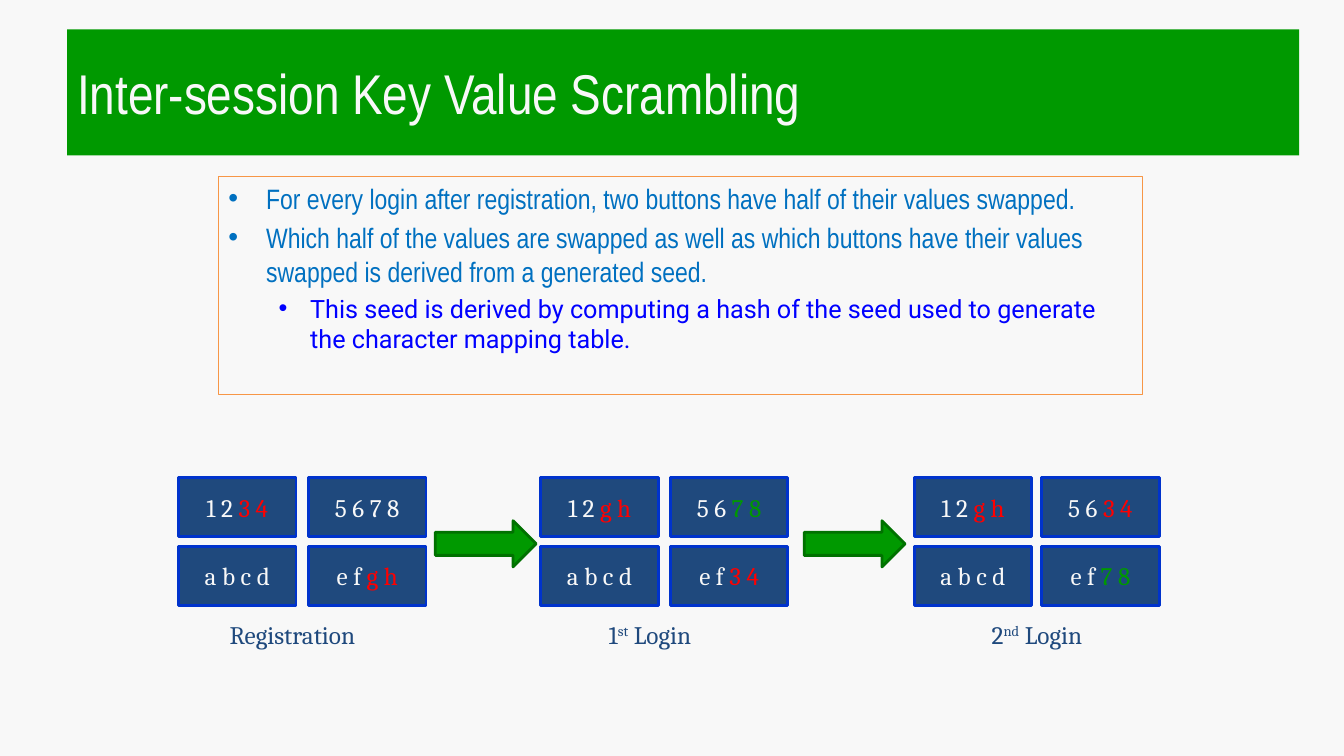
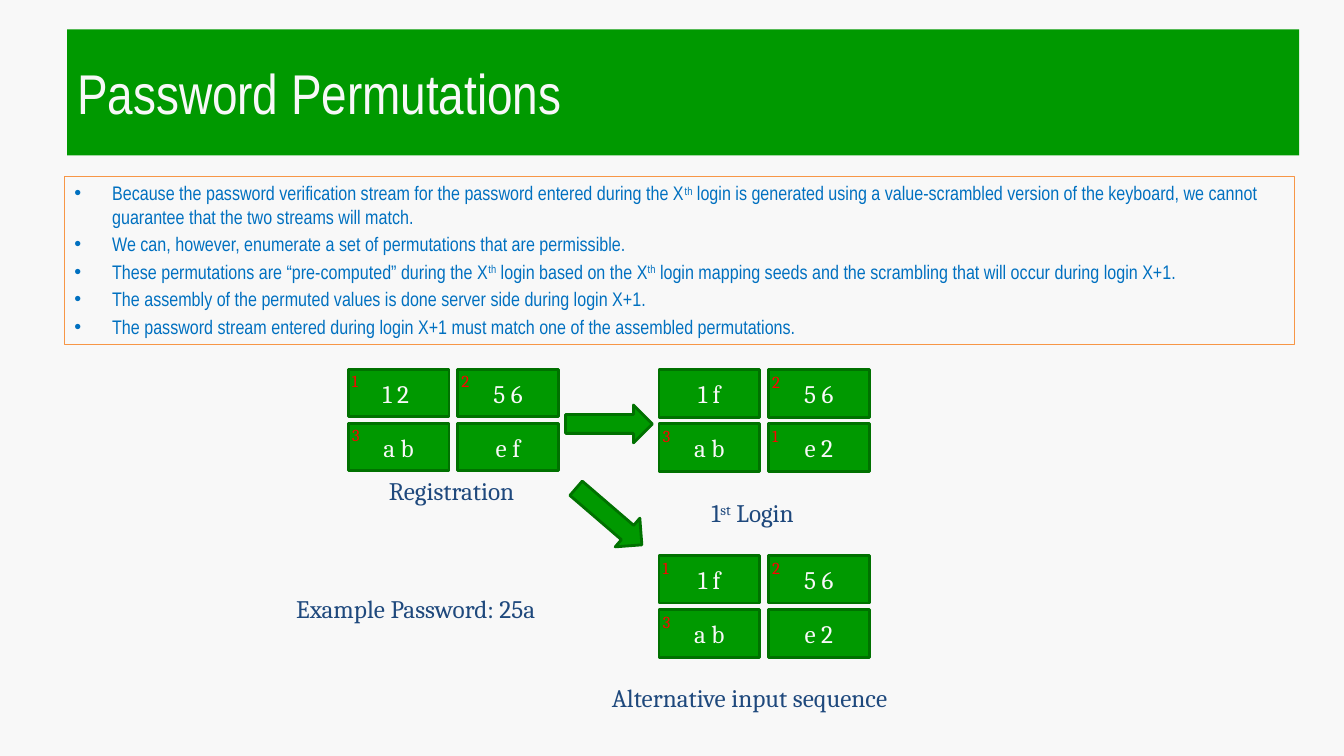
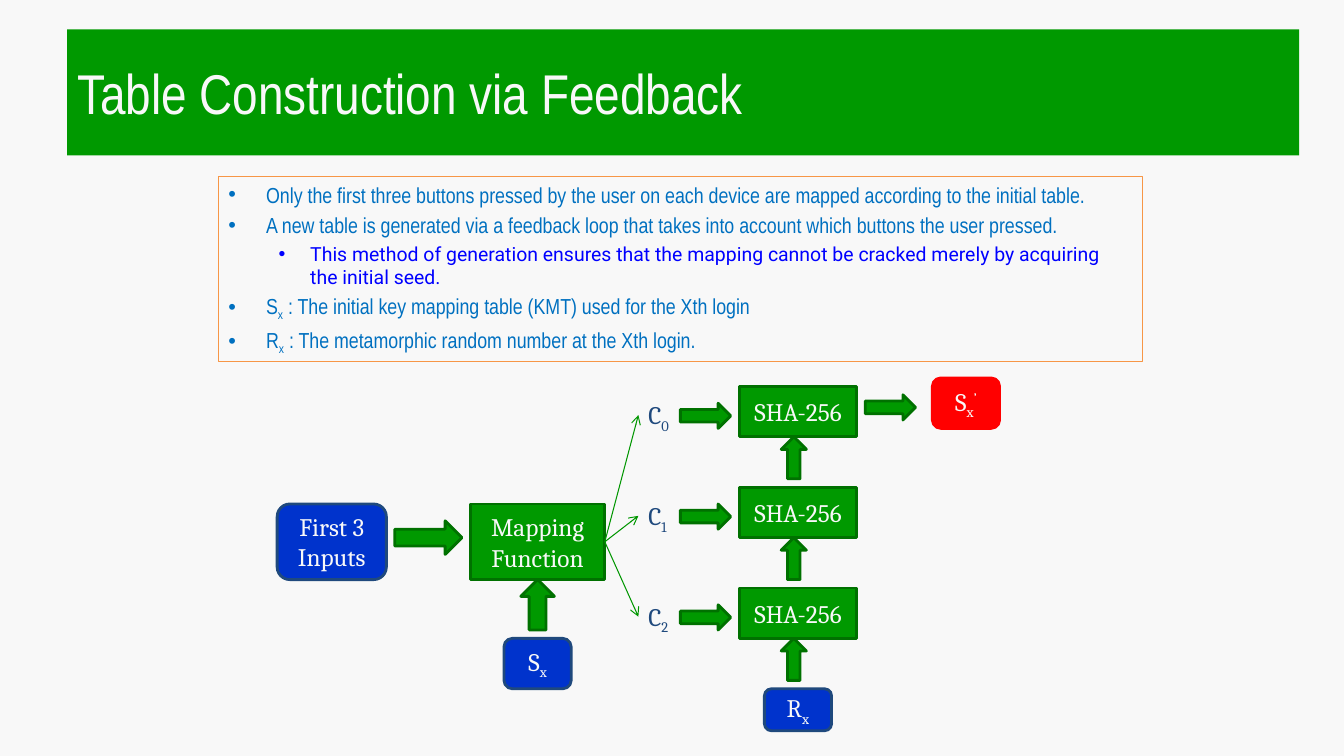
from dataclasses import dataclass
from typing import NamedTuple

from lxml import etree
from pptx import Presentation
from pptx.dml.color import RGBColor
from pptx.enum import shapes, text
from pptx.oxml import ns
from pptx.util import Pt

# Shared colours and fonts
PAPER, GREEN, MOSS, VINE = "F8F8F8", "009900", "007100", "009600"
NAVY, BLUE, RED = "1F497D", "0033CC", "FF0000"
SKY, PURE, GOLD = "0070C0", "0000FF", "F79646"
SERIF, SLIM, SANS = "Cambria", "Arial Narrow", "Roboto"
KIND = shapes.MSO_SHAPE
RECT, ROUND = KIND.RECTANGLE, KIND.ROUNDED_RECTANGLE
RIGHT, UP = KIND.RIGHT_ARROW, KIND.UP_ARROW


class Box(NamedTuple):
    x: float
    y: float
    w: float
    h: float


class Run(NamedTuple):
    text: str
    color: str = ""
    base: int = 0


class Font(NamedTuple):
    name: str
    size: float
    color: str


class Item(NamedTuple):
    runs: list[Run]
    level: int = 0


class Look(NamedTuple):
    fill: str
    line: str


@dataclass
class Pad:
    """Four keys in a two by two grid, with press marks in their corners."""
    x: float
    y: float
    keys: list[list[Run]]
    dx: float
    dy: float
    w: float
    h: float
    look: Look
    marks: str = ""


LEAF, DEEP = Look(GREEN, MOSS), Look(NAVY, BLUE)
POOL, ALERT = Look(BLUE, NAVY), Look(RED, RED)
KEY, NOTE, MARK = Font(SERIF, 18, PAPER), Font(SERIF, 18, NAVY), Font(SERIF, 12, RED)
TH, ST, ND = (Run(s, base=30) for s in ("th", "st", "nd"))


def ink(code: str) -> RGBColor:
    return RGBColor.from_string(code)


def emu(box: Box) -> list[Pt]:
    return [Pt(v) for v in box]


def write(para, runs: list[Run], font: Font) -> None:
    for part in runs:
        run = para.add_run()
        run.text = part.text
        run.font.name, run.font.size = font.name, Pt(font.size)
        run.font.color.rgb = ink(part.color or font.color)
        if part.base:
            run._r.get_or_add_rPr().set("baseline", str(part.base * 1000))


def shape(slide, kind, box: Box, look: Look, runs: list[Run] = [],
          font: Font = KEY, turn: float = 0):
    item = slide.shapes.add_shape(kind, *emu(box))
    item.shadow.inherit = False
    item.rotation = turn
    item.fill.solid()
    item.fill.fore_color.rgb = ink(look.fill)
    item.line.color.rgb = ink(look.line)
    item.line.width = Pt(2)
    frame = item.text_frame
    frame.word_wrap = True
    frame.vertical_anchor = text.MSO_ANCHOR.MIDDLE
    frame.paragraphs[0].alignment = text.PP_ALIGN.CENTER
    write(frame.paragraphs[0], runs, font)
    return item


def label(slide, box: Box, runs: list[Run], font: Font = NOTE, wrap: bool = True):
    item = slide.shapes.add_textbox(*emu(box))
    item.text_frame.word_wrap = wrap
    write(item.text_frame.paragraphs[0], runs, font)
    return item


def bullet(para, level: int, color: str) -> None:
    para.level = level
    left, hang = ((27, 27), (58.5, 22.5))[level]
    prop = para._p.get_or_add_pPr()
    prop.set("marL", str(Pt(left)))
    prop.set("indent", str(-Pt(hang)))
    gap = etree.SubElement(prop, ns.qn("a:spcBef"))
    etree.SubElement(gap, ns.qn("a:spcPct")).set("val", "20000")
    tint = etree.SubElement(prop, ns.qn("a:buClr"))
    etree.SubElement(tint, ns.qn("a:srgbClr")).set("val", color)
    etree.SubElement(prop, ns.qn("a:buFont")).set("typeface", "Arial")
    etree.SubElement(prop, ns.qn("a:buChar")).set("char", "•")


def body(slide, box: Box, items: list[Item], size: float, sub: float = 0) -> None:
    item = slide.shapes.add_textbox(*emu(box))
    item.line.color.rgb = ink(GOLD)
    item.line.width = Pt(0.75)
    frame = item.text_frame
    frame.word_wrap = True
    fonts = Font(SLIM, size, SKY), Font(SANS, sub, PURE)
    for n, entry in enumerate(items):
        para = frame.add_paragraph() if n else frame.paragraphs[0]
        font = fonts[entry.level]
        bullet(para, entry.level, font.color)
        write(para, entry.runs, font)


def page(deck, title: str):
    """Add a slide with the green title band."""
    slide = deck.slides.add_slide(deck.slide_layouts[6])
    band = shape(slide, RECT, Box(48, 21, 880, 90), LEAF,
                 [Run(title)], Font(SLIM, 40, PAPER))
    band.line.fill.background()
    band.text_frame.paragraphs[0].alignment = text.PP_ALIGN.LEFT
    return slide


def grid(slide, pad: Pad) -> None:
    spots = [(pad.x + n % 2 * pad.dx, pad.y + n // 2 * pad.dy) for n in range(4)]
    for (x, y), runs in zip(spots, pad.keys):
        shape(slide, RECT, Box(x, y, pad.w, pad.h), pad.look, runs)
    for (x, y), sign in zip(spots, pad.marks):
        if sign != " ":
            label(slide, Box(x - 4.4, y - 2.2, 21, 21.6), [Run(sign)], MARK, False)


def link(slide, start, end) -> None:
    """Join the right side of one shape to the left side of another."""
    line = slide.shapes.add_connector(shapes.MSO_CONNECTOR.STRAIGHT, *emu(Box(0, 0, 0, 0)))
    line.begin_connect(start, 3)
    line.end_connect(end, 1)
    line.line.color.rgb = ink(VINE)
    line.line.width = Pt(0.75)
    etree.SubElement(line.line._get_or_add_ln(), ns.qn("a:tailEnd")).set("type", "arrow")
    etree.SubElement(line._element.spPr, ns.qn("a:effectLst"))


def sub(name: str, mark: str) -> list[Run]:
    return [Run(name), Run(mark, base=-25)]


def scramble(deck) -> None:
    slide = page(deck, "Inter-session Key Value Scrambling")
    body(slide, Box(156, 126, 660, 156), [
        Item([Run("For every login after registration, two buttons have half of "
                  "their values swapped.")]),
        Item([Run("Which half of the values are swapped as well as which buttons "
                  "have their values swapped is derived from a generated seed.")]),
        Item([Run("This seed is derived by computing a hash of the seed used to "
                  "generate the character mapping table.")], 1),
    ], 20, 18)

    # Key pads: left edge, column pitch, swapped halves
    low, same = Run("1 2 "), [Run("a b c d")]
    mid, end = Run("5 6 "), Run("e f ")
    num, let, last = Run("3 4", RED), Run("g h", RED), Run("7 8", GREEN)
    stages = [
        (127.5, 92.8, [[low, num], [Run("5 6 7 8")], same, [end, let]]),
        (386.3, 92.5, [[low, let], [mid, last], same, [end, num]]),
        (653, 91, [[low, let], [mid, num], same, [end, last]]),
    ]
    for x, dx, keys in stages:
        grid(slide, Pad(x, 341.3, keys, dx, 49, 84, 42, DEEP))
    for x in (311, 574.5):
        shape(slide, RIGHT, Box(x, 372, 72, 33), LEAF)
    for x, w, runs in [(157, 113, [Run("Registration")]),
                       (427.7, 85, [Run("1"), ST, Run(" Login")]),
                       (701.3, 91, [Run("2"), ND, Run(" Login")])]:
        label(slide, Box(x, 438.5, w, 29), runs)


def permute(deck) -> None:
    slide = page(deck, "Password Permutations")
    body(slide, Box(46, 126, 878.5, 120), [
        Item([Run("Because the password verification stream for the password entered "
                  "during the X"), TH,
              Run(" login is generated using a value-scrambled version of the keyboard, "
                  "we cannot guarantee that the two streams will match.")]),
        Item([Run("We can, however, enumerate a set of permutations that are permissible.")]),
        Item([Run("These permutations are “pre-computed” during the X"), TH,
              Run(" login based on the X"), TH,
              Run(" login mapping seeds and the scrambling that will occur during "
                  "login X+1.")]),
        Item([Run("The assembly of the permuted values is done server side during "
                  "login X+1.")]),
        Item([Run("The password stream entered during login X+1 must match one of the "
                  "assembled permutations.")]),
    ], 14)

    # Key pads with the order of presses
    first, later = ("1 2 ", "5 6", "a b", "e f"), ("1 f", "5 6", "a b", "e 2")
    for x, y, words, marks in [(248.7, 263.7, first, "123 "),
                               (470.7, 264, later, " 231"),
                               (470.7, 396.8, later, "123 ")]:
        grid(slide, Pad(x, y, [[Run(w)] for w in words], 78.2, 38.7, 72, 34, LEAF, marks))
    for y, turn in [(289.3, 0), (355.5, 40.7)]:
        shape(slide, RIGHT, Box(404, y, 62, 27), LEAF, turn=turn)
    for x, y, w, runs in [(270.7, 336.3, 112, [Run("Registration")]),
                          (501, 352, 81, [Run("1"), ST, Run(" Login")]),
                          (204.5, 420.5, 207, [Run("Example Password: 25a")]),
                          (430, 483.8, 225, [Run("Alternative input sequence")])]:
        label(slide, Box(x, y, w, 29), runs)


def feedback(deck) -> None:
    slide = page(deck, "Table Construction via Feedback")
    body(slide, Box(156, 126, 660, 132), [
        Item([Run("Only the first three buttons pressed by the user on each device are "
                  "mapped according to the initial table.")]),
        Item([Run("A new table is generated via a feedback loop that takes into account "
                  "which buttons the user pressed.")]),
        Item([Run("This method of generation ensures that the mapping cannot be cracked "
                  "merely by acquiring the initial seed.")], 1),
        Item([*sub("S", "x"),
              Run(" : The initial key mapping table (KMT) used for the Xth login")]),
        Item([*sub("R", "x"), Run(" : The metamorphic random number at the Xth login.")]),
    ], 15.5, 13.9)

    # Inputs and mapping
    shape(slide, ROUND, Box(198, 360, 78, 54), POOL, [Run("First 3 Inputs")])
    shape(slide, RIGHT, Box(282, 372, 48, 24), LEAF)
    core = shape(slide, RECT, Box(336, 360, 96, 54), LEAF, [Run("Mapping Function")])
    shape(slide, UP, Box(372, 414, 24, 36), LEAF)
    shape(slide, ROUND, Box(360, 456, 48, 36), POOL, sub("S", "x"))

    # One hash row per mapped value
    for n in range(3):
        y = 276 + 72 * n
        code = label(slide, Box(456, y + 6, 36, 29), sub("C", str(n)))
        link(slide, core, code)
        shape(slide, RIGHT, Box(486, y + 12, 36, 18), LEAF)
        shape(slide, RECT, Box(528, y, 84, 36), LEAF, [Run("SHA-256")])
        shape(slide, UP, Box(558, y + 36, 18, 30), LEAF)

    # Seed and result
    shape(slide, ROUND, Box(546, 492, 48, 30), POOL, sub("R", "x"))
    shape(slide, RIGHT, Box(618, 282, 36, 18), LEAF)
    shape(slide, ROUND, Box(666, 270, 48, 36), ALERT, [*sub("S", "x"), Run("’", base=30)])


def main() -> None:
    deck = Presentation()
    deck.slide_width, deck.slide_height = Pt(960), Pt(540)
    back = deck.slide_master.background.fill
    back.solid()
    back.fore_color.rgb = ink(PAPER)
    for build in (scramble, permute, feedback):
        build(deck)
    deck.save("out.pptx")


if __name__ == "__main__":
    main()
